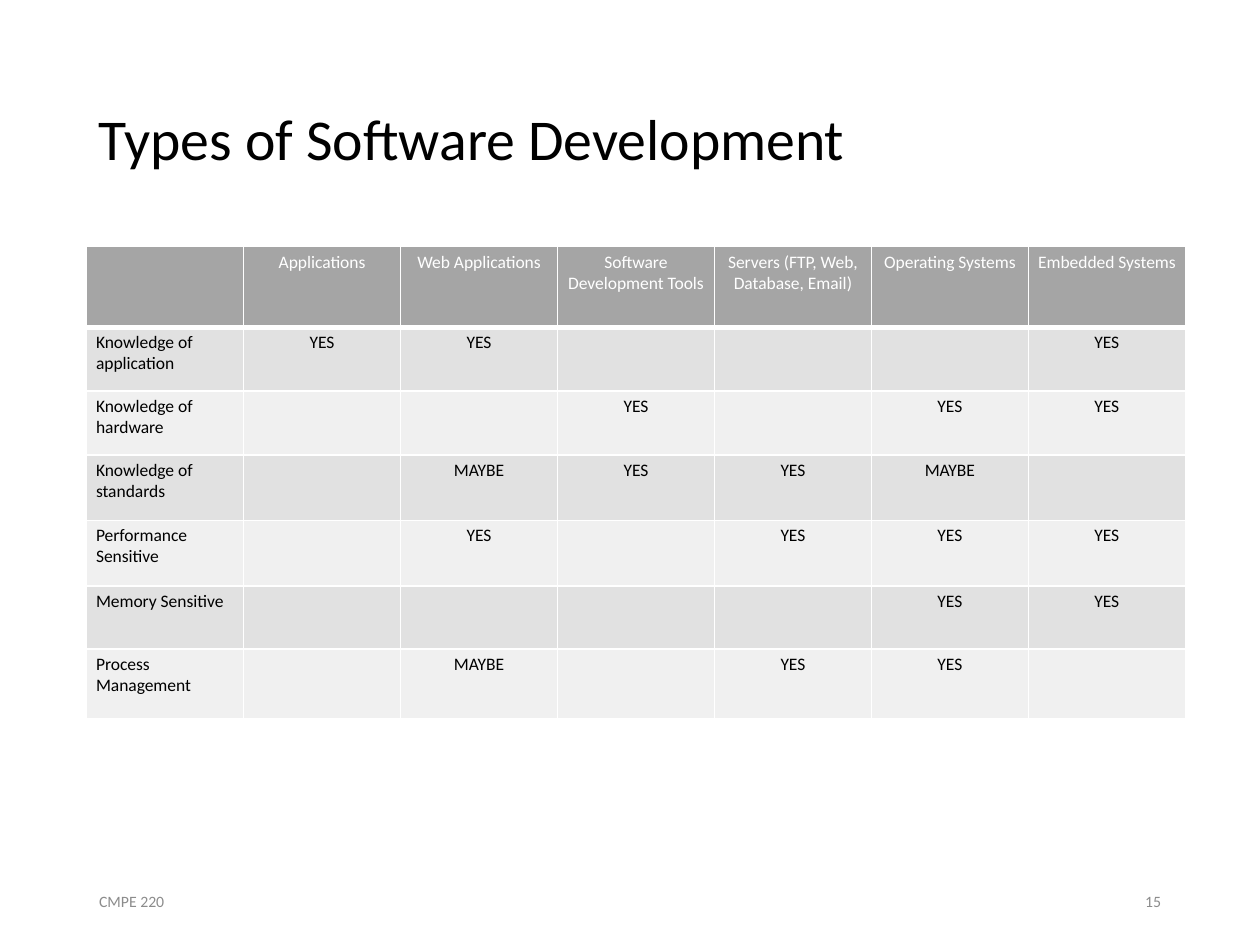
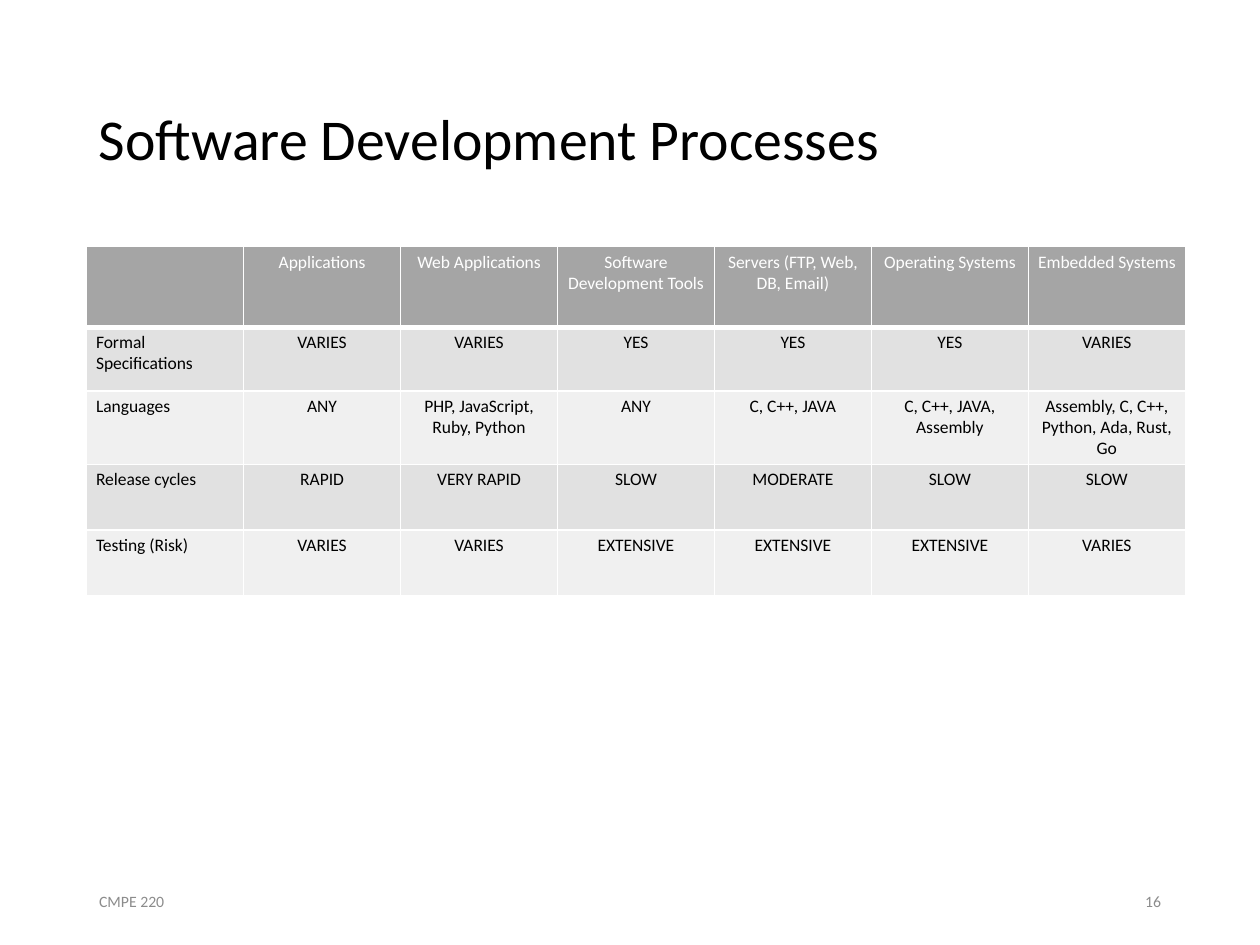
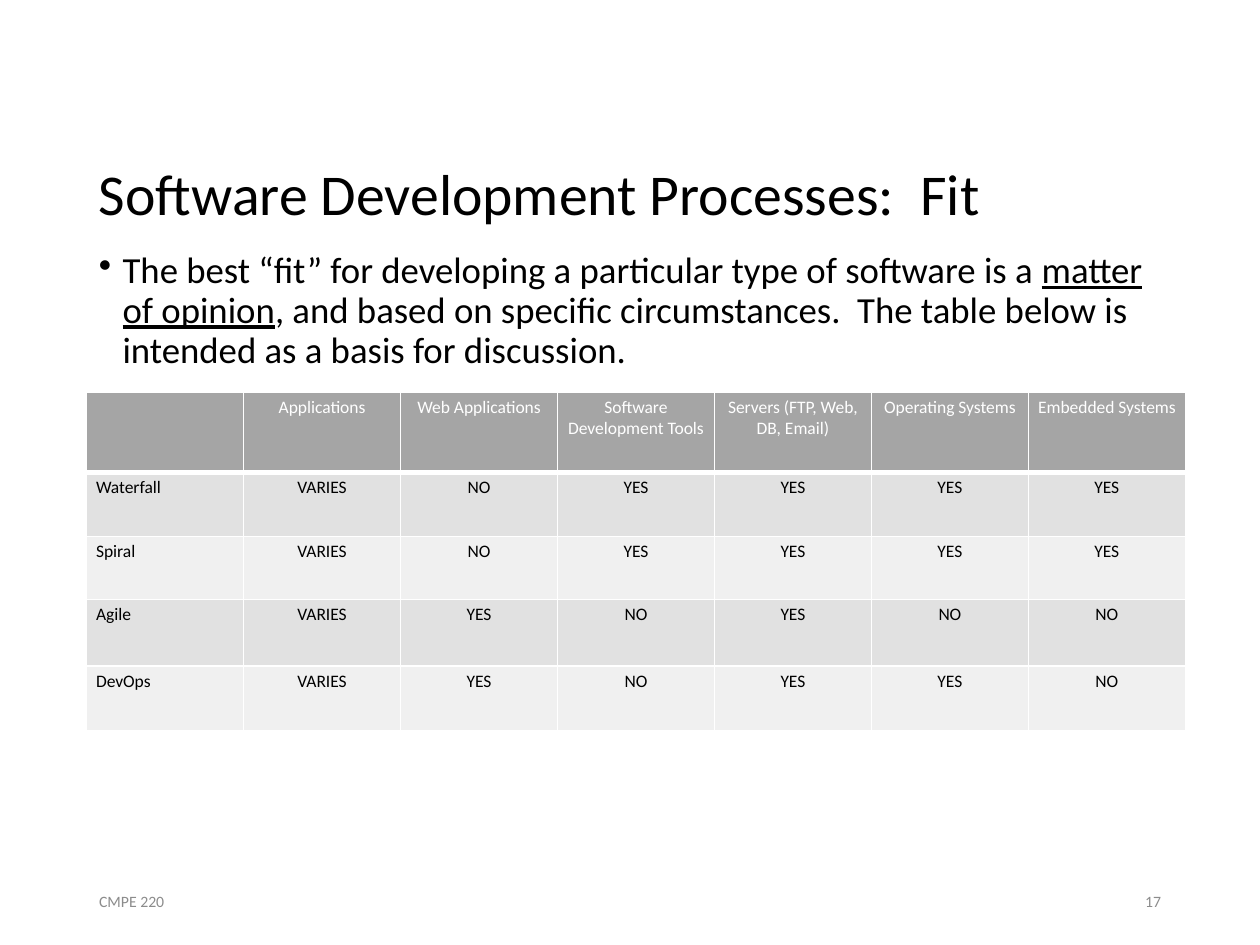
from lxml import etree
from pptx import Presentation
from pptx import util as u
from pptx.dml.color import RGBColor
from pptx.enum import text
from pptx.oxml import ns

COLORS = {
    "text": "000000",
    "header_text": "FFFFFF",
    "footer": "8C8C8C",
    "header": "A5A5A5",
    "odd_row": "E1E1E1",
    "even_row": "F0F0F0",
    "border": "FFFFFF",
}
FONT = "Calibri"
LEFT, WIDTH = 49.5, 621
FOOTER_TOP, FOOTER_WIDTH, FOOTER_HEIGHT = 500.5, 162, 28.75
COLUMN_WIDTH = 89.7
FIRST_PAGE = 15

KNOWLEDGE_ROWS = [
    ["Knowledge of application", "YES", "YES", "", "", "", "YES"],
    ["Knowledge of hardware", "", "", "YES", "", "YES", "YES"],
    ["Knowledge of standards", "", "MAYBE", "YES", "YES", "MAYBE", ""],
    ["Performance Sensitive", "", "YES", "", "YES", "YES", "YES"],
    ["Memory Sensitive", "", "", "", "", "YES", "YES"],
    ["Process Management", "", "MAYBE", "", "YES", "YES", ""],
]
PROCESS_ROWS = [
    ["Formal Specifications", "VARIES", "VARIES", "YES", "YES", "YES", "VARIES"],
    ["Languages", "ANY", "PHP, JavaScript, Ruby, Python", "ANY", "C, C++, JAVA",
     "C, C++, JAVA, Assembly", "Assembly, C, C++, Python, Ada, Rust, Go"],
    ["Release cycles", "RAPID", "VERY RAPID", "SLOW", "MODERATE", "SLOW", "SLOW"],
    ["Testing (Risk)", "VARIES", "VARIES", "EXTENSIVE", "EXTENSIVE", "EXTENSIVE", "VARIES"],
]
FIT_ROWS = [
    ["Waterfall", "VARIES", "NO", "YES", "YES", "YES", "YES"],
    ["Spiral", "VARIES", "NO", "YES", "YES", "YES", "YES"],
    ["Agile", "VARIES", "YES", "NO", "YES", "NO", "NO"],
    ["DevOps", "VARIES", "YES", "NO", "YES", "YES", "NO"],
]


def header_row(servers):
    return ["", "Applications", "Web Applications", "Software Development Tools",
            f"Servers (FTP, Web, {servers}, Email)", "Operating Systems", "Embedded Systems"]


def style_paragraph(paragraph, size, color, align=text.PP_ALIGN.LEFT):
    paragraph.alignment = align
    paragraph.font.name = FONT
    paragraph.font.size = u.Pt(size)
    paragraph.font.color.rgb = RGBColor.from_string(COLORS[color])


def add_text(page, left, top, width, height, words, size, color,
             align=text.PP_ALIGN.LEFT, anchor=text.MSO_ANCHOR.MIDDLE):
    """Add a wrapped text box and return its one paragraph."""
    box = page.shapes.add_textbox(u.Pt(left), u.Pt(top), u.Pt(width), u.Pt(height))
    box.text_frame.word_wrap = True
    box.text_frame.vertical_anchor = anchor
    para = box.text_frame.paragraphs[0]
    para.text = words
    style_paragraph(para, size, color, align)
    return para


def add_title(page, words, top=28.75, height=104.4):
    add_text(page, LEFT, top, WIDTH, height, words, 33, "text").line_spacing = 0.9


def add_footer(page, number):
    add_text(page, LEFT, FOOTER_TOP, FOOTER_WIDTH, FOOTER_HEIGHT, "CMPE 220", 9, "footer")
    add_text(page, LEFT + WIDTH - FOOTER_WIDTH, FOOTER_TOP, FOOTER_WIDTH, FOOTER_HEIGHT,
             str(number), 9, "footer", text.PP_ALIGN.RIGHT)


def add_bullet(page, top, height, spans):
    """Add a bulleted paragraph from (words, underlined) pairs."""
    para = add_text(page, LEFT, top, WIDTH, height, "", 21, "text",
                    anchor=text.MSO_ANCHOR.TOP)
    para.line_spacing = 0.9
    para.space_before = u.Pt(7.5)
    for words, underlined in spans:
        span = para.add_run()
        span.text = words
        span.font.underline = underlined
    properties = para._p.get_or_add_pPr()
    properties.set("marL", str(u.Pt(13.5)))
    properties.set("indent", str(-u.Pt(13.5)))
    bullet = etree.Element(ns.qn("a:buChar"), char="•")
    properties.find(ns.qn("a:defRPr")).addprevious(bullet)


def set_borders(cell, bottom):
    """Draw 1 pt borders, with the given width in points at the bottom."""
    properties = cell._tc.get_or_add_tcPr()
    for index, (side, width) in enumerate([("L", 1), ("R", 1), ("T", 1), ("B", bottom)]):
        line = etree.Element(ns.qn(f"a:ln{side}"), w=str(u.Pt(width)))
        fill = etree.SubElement(line, ns.qn("a:solidFill"))
        etree.SubElement(fill, ns.qn("a:srgbClr"), val=COLORS["border"])
        properties.insert(index, line)


def fill_cell(cell, words, row, column):
    band = "header" if row == 0 else "odd_row" if row % 2 else "even_row"
    cell.fill.solid()
    cell.fill.fore_color.rgb = RGBColor.from_string(COLORS[band])
    cell.margin_left = cell.margin_right = u.Pt(5.4)
    cell.margin_top = cell.margin_bottom = u.Pt(2.7)
    para = cell.text_frame.paragraphs[0]
    para.text = words
    style_paragraph(para, 10, "text" if row else "header_text",
                    text.PP_ALIGN.CENTER if column else text.PP_ALIGN.LEFT)
    set_borders(cell, 1 if row else 3)


def add_matrix(page, top, rows, heights):
    columns = len(rows[0])
    frame = page.shapes.add_table(len(rows), columns, u.Pt(LEFT), u.Pt(top),
                                  u.Pt(COLUMN_WIDTH * columns), u.Pt(sum(heights)))
    table = frame.table
    table.first_row = table.horz_banding = False
    for column in table.columns:
        column.width = u.Pt(COLUMN_WIDTH)
    for row, (values, height) in enumerate(zip(rows, heights)):
        table.rows[row].height = u.Pt(height)
        for column, words in enumerate(values):
            fill_cell(table.cell(row, column), words, row, column)


def add_types(page):
    add_matrix(page, 141, [header_row("Database")] + KNOWLEDGE_ROWS,
               [46, 36.5, 36.5, 37.5, 37.5, 36, 40])
    add_title(page, "Types of Software Development")


def add_processes(page):
    add_matrix(page, 141, [header_row("DB")] + PROCESS_ROWS, [46, 36.5, 42, 37.5, 37.5])
    add_title(page, "Software Development Processes")


def add_fit(page):
    add_matrix(page, 224, [header_row("DB")] + FIT_ROWS, [46, 36.5, 36, 38, 37])
    add_title(page, "Software Development Processes:  Fit", 75.6, 73.4)
    add_bullet(page, 140.4, 82.8, [
        ("The best “fit” for developing a particular type of software is a ", False),
        ("matter of opinion", True),
        (", and based on specific circumstances.  The table below is intended as a basis"
         " for discussion.", False),
    ])


def main():
    deck = Presentation()
    deck.slide_width, deck.slide_height = u.Pt(720), u.Pt(540)
    for number, add_content in enumerate([add_types, add_processes, add_fit], FIRST_PAGE):
        page = deck.slides.add_slide(deck.slide_layouts[6])
        add_content(page)
        add_footer(page, number)
    deck.save("out.pptx")


if __name__ == "__main__":
    main()
